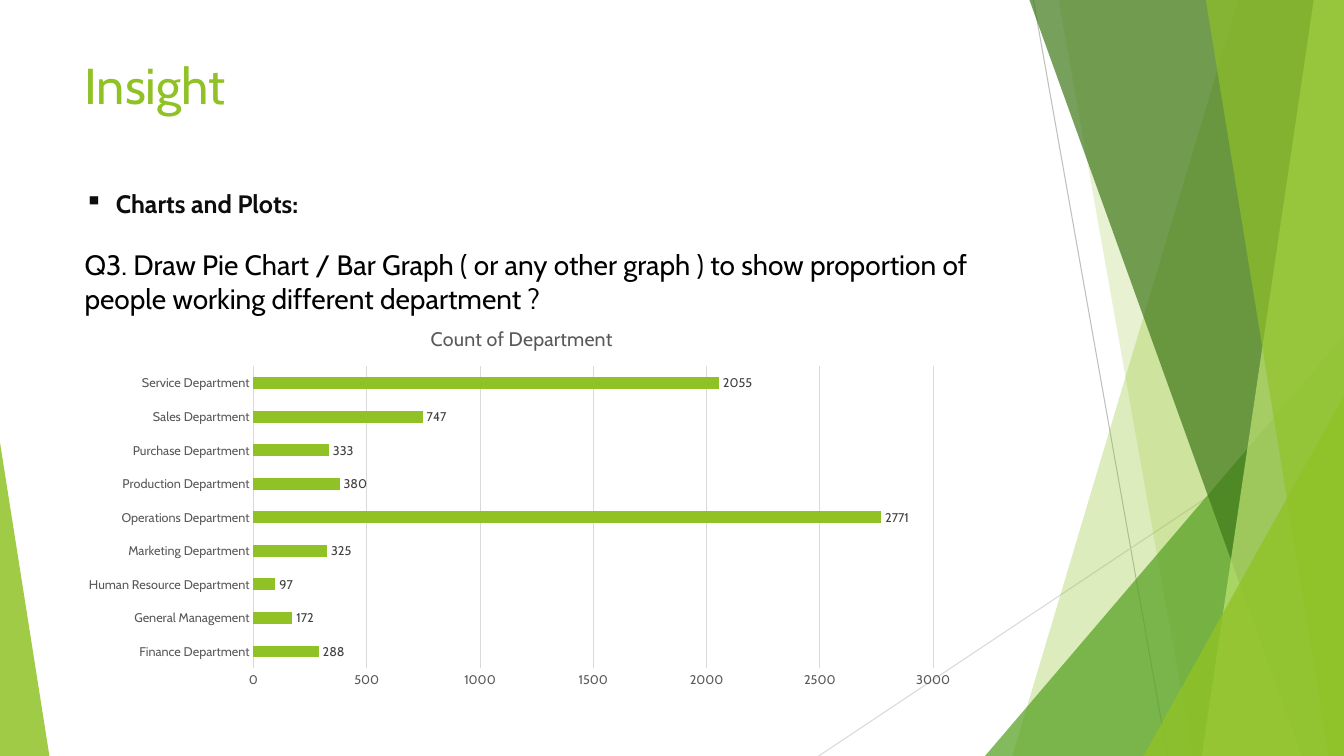
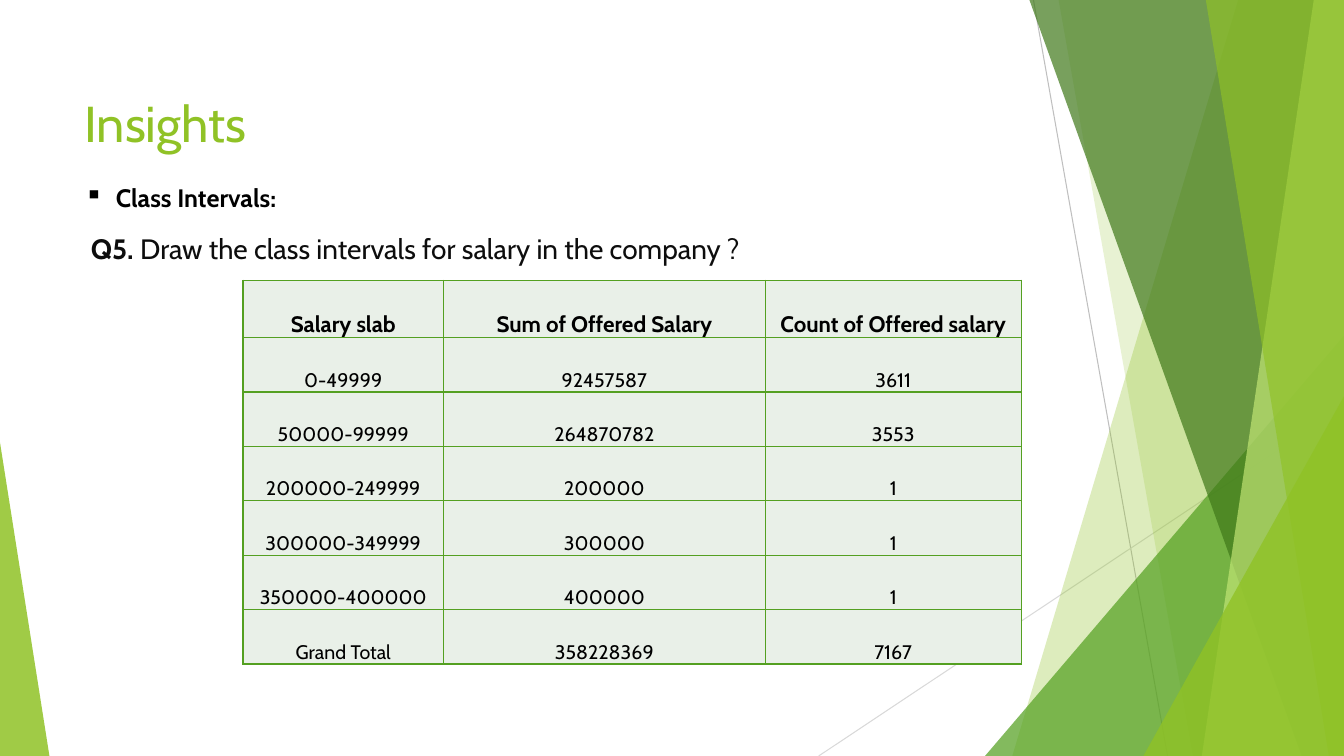
from lxml import etree
from pptx import Presentation
from pptx.chart.data import CategoryChartData
from pptx.dml.color import RGBColor
from pptx.enum.chart import XL_CHART_TYPE, XL_LABEL_POSITION, XL_TICK_MARK
from pptx.enum.shapes import MSO_CONNECTOR, MSO_SHAPE
from pptx.enum.text import MSO_ANCHOR, PP_ALIGN
from pptx.oxml import parse_xml
from pptx.oxml.ns import nsdecls, qn
from pptx.util import Inches, Pt

FONT = "Cabin"
LIME, GREEN, FOREST, PALE_LIME = "90C226", "54A021", "3F7819", "C0E474"
BLACK, INK, CELL_TINT = "000000", "0D0D0D", "E9F0E8"
AXIS_TEXT, LABEL_TEXT, GRID = "595959", "404040", "D9D9D9"
WIDTH, HEIGHT = 13.33, 7.5
LEFT, TEXT_WIDTH = 0.74, 9.4

# Decoration from back to front
HAIRLINES = [((10.25, 0), (11.58, HEIGHT), "BFBFBF"),
             ((WIDTH, 4.03), (8.12, HEIGHT), GRID)]
FACETS = [  # bands: top x, bottom x; triangles: left, top, width, apex; then colour, opacity
    ("band", (12.28, 10.04), LIME, 30),
    ("band", (10.5, 11.83), LIME, 20),
    ("triangle", (9.77, 3.33, 3.56, 1), GREEN, 72),
    ("band", (10.21, 12.91), FOREST, 70),
    ("band", (13.03, 11.92), PALE_LIME, 70),
    ("band", (11.96, 13.18), LIME, 65),
    ("triangle", (11.34, 3.93, 1.99, 1), LIME, 80),
    ("triangle", (0, 4.39, 0.49, 0), LIME, 85),
]

DEPARTMENTS = {
    "Finance Department": 288,
    "General Management": 172,
    "Human Resource Department": 97,
    "Marketing Department": 325,
    "Operations Department": 2771,
    "Production Department": 380,
    "Purchase Department": 333,
    "Sales Department": 747,
    "Service Department": 2055,
}
CHART_TITLE = "Count of Department"
PLOT_AREA = {"x": 0.2, "y": 0.15, "w": 0.76, "h": 0.78}

SALARY_COLUMNS = [1.99, 3.19, 2.54]
SALARY_ROWS = [
    ("Salary slab", "Sum of Offered Salary", "Count of Offered salary"),
    ("0-49999", "92457587", "3611"),
    ("50000-99999", "264870782", "3553"),
    ("200000-249999", "200000", "1"),
    ("300000-349999", "300000", "1"),
    ("350000-400000", "400000", "1"),
    ("Grand Total", "358228369", "7167"),
]


def rgb(color):
    return RGBColor.from_string(color)


def style_font(font, size, color, bold=False):
    values = {"name": FONT, "size": Pt(size), "bold": bold}
    for name, value in values.items():
        setattr(font, name, value)
    font.color.rgb = rgb(color)


def style_line(line, color, width=0.75):
    line.color.rgb = rgb(color)
    line.width = Pt(width)


def add_decoration(slide):
    shapes = slide.shapes.add_group_shape().shapes
    for start, end, color in HAIRLINES:
        hairline = shapes.add_connector(
            MSO_CONNECTOR.STRAIGHT, *[Inches(v) for v in start + end])
        style_line(hairline.line, color)
        etree.SubElement(hairline._element.spPr, qn("a:effectLst"))
    for kind, place, color, opacity in FACETS:
        if kind == "band":
            top_x, bottom_x = place
            outline = shapes.build_freeform(Inches(top_x), 0)
            corners = [(WIDTH, 0), (WIDTH, HEIGHT), (bottom_x, HEIGHT)]
            outline.add_line_segments([(Inches(x), Inches(y)) for x, y in corners])
            facet = outline.convert_to_shape()
        else:
            left, top, width, apex = place
            facet = shapes.add_shape(
                MSO_SHAPE.ISOSCELES_TRIANGLE, Inches(left), Inches(top),
                Inches(width), Inches(HEIGHT - top))
            facet.adjustments[0] = apex
        facet.shadow.inherit = False
        facet.line.fill.background()
        facet.fill.solid()
        facet.fill.fore_color.rgb = rgb(color)
        tint = facet._element.spPr.find(qn("a:solidFill"))[0]
        etree.SubElement(tint, qn("a:alpha"), val=str(opacity * 1000))


def add_text(slide, top, height, runs, size, color):
    """Add one paragraph made of (text, bold) runs."""
    box = slide.shapes.add_textbox(
        Inches(LEFT), Inches(top), Inches(TEXT_WIDTH), Inches(height))
    box.text_frame.word_wrap = True
    paragraph = box.text_frame.paragraphs[0]
    for text, bold in runs:
        run = paragraph.add_run()
        run.text = text
        style_font(run.font, size, color, bold)
    return paragraph


def add_heading(slide, top, text, color):
    properties = add_text(slide, top, 0.4, [(text, True)], 18, color)._p.get_or_add_pPr()
    indent = Inches(0.31)
    properties.set("marL", str(indent))
    properties.set("indent", str(-indent))
    etree.SubElement(properties, qn("a:buChar"), char="▪")


def start_slide(deck, title, title_top):
    slide = deck.slides.add_slide(deck.slide_layouts[6])
    add_decoration(slide)
    add_text(slide, title_top, 0.78, [(title, False)], 36, LIME)
    return slide


def add_department_chart(slide):
    data = CategoryChartData()
    data.categories = list(DEPARTMENTS)
    data.add_series("Series 1", list(DEPARTMENTS.values()))
    chart = slide.shapes.add_chart(
        XL_CHART_TYPE.BAR_CLUSTERED, Inches(LEFT), Inches(3.06),
        Inches(8.87), Inches(3.84), data).chart
    style_font(chart.font, 10, BLACK)
    chart.has_legend = False
    chart.has_title = True
    chart.chart_title.include_in_layout = False
    chart.chart_title.text_frame.text = CHART_TITLE
    title_run = chart.chart_title.text_frame.paragraphs[0].runs[0]
    style_font(title_run.font, 14, AXIS_TEXT)

    for axis in (chart.category_axis, chart.value_axis):
        axis.major_tick_mark = axis.minor_tick_mark = XL_TICK_MARK.NONE
        style_font(axis.tick_labels.font, 9, AXIS_TEXT)
    style_line(chart.category_axis.format.line, GRID)
    scale = chart.value_axis
    scale.format.line.fill.background()
    style_line(scale.major_gridlines.format.line, GRID)
    for name, value in {"minimum_scale": 0, "maximum_scale": 3000, "major_unit": 500}.items():
        setattr(scale, name, value)

    plot = chart.plots[0]
    plot.gap_width = 182
    plot.vary_by_categories = False
    bars = plot.series[0]
    bars.format.fill.solid()
    bars.format.fill.fore_color.rgb = rgb(LIME)
    labels = bars.data_labels
    labels.show_value = True
    labels.position = XL_LABEL_POSITION.OUTSIDE_END
    style_font(labels.font, 9, LABEL_TEXT)

    plot_area = chart._chartSpace.chart.plotArea
    for automatic in plot_area.findall(qn("c:layout")):
        plot_area.remove(automatic)
    layout = etree.Element(qn("c:layout"))
    manual = etree.SubElement(layout, qn("c:manualLayout"))
    etree.SubElement(manual, qn("c:layoutTarget"), val="inner")
    for side in "xy":
        etree.SubElement(manual, qn(f"c:{side}Mode"), val="edge")
    for name, value in PLOT_AREA.items():
        etree.SubElement(manual, qn(f"c:{name}"), val=str(value))
    plot_area.insert(0, layout)


def format_cell(cell, text, size, bold):
    margins = {"margin_left": 0.01, "margin_right": 0.01, "margin_top": 0.01, "margin_bottom": 0}
    for name, value in margins.items():
        setattr(cell, name, Inches(value))
    cell.vertical_anchor = MSO_ANCHOR.BOTTOM
    properties = cell._tc.get_or_add_tcPr()
    for side in "LRTB":
        properties.append(parse_xml(
            f'<a:ln{side} {nsdecls("a")} w="{Pt(1)}"><a:solidFill>'
            f'<a:srgbClr val="{GREEN}"/></a:solidFill></a:ln{side}>'))
    cell.fill.solid()
    cell.fill.fore_color.rgb = rgb(CELL_TINT)
    paragraph = cell.text_frame.paragraphs[0]
    paragraph.alignment = PP_ALIGN.CENTER
    run = paragraph.add_run()
    run.text = text
    style_font(run.font, size, BLACK, bold)


def add_salary_table(slide):
    heights = [0.57] + [0.54] * (len(SALARY_ROWS) - 1)
    table = slide.shapes.add_table(
        len(SALARY_ROWS), len(SALARY_COLUMNS), Inches(2.41), Inches(2.78),
        Inches(sum(SALARY_COLUMNS)), Inches(sum(heights))).table
    table.horz_banding = False
    for column, width in zip(table.columns, SALARY_COLUMNS):
        column.width = Inches(width)
    for index, (row, height, texts) in enumerate(zip(table.rows, heights, SALARY_ROWS)):
        row.height = Inches(height)
        is_header = index == 0
        for cell, text in zip(row.cells, texts):
            format_cell(cell, text, 16 if is_header else 14, is_header)


def main():
    deck = Presentation()
    deck.slide_width, deck.slide_height = Inches(WIDTH), Inches(HEIGHT)

    departments = start_slide(deck, "Insight", 0.49)
    add_text(departments, 2.41, 0.77, [(
        "Q3. Draw Pie Chart / Bar Graph ( or any other graph ) to show proportion of "
        "people working different department ?", False)], 20, BLACK)
    add_department_chart(departments)
    add_heading(departments, 1.82, "Charts and Plots:", INK)

    salaries = start_slide(deck, "Insights", 0.86)
    add_text(salaries, 2.25, 0.44, [
        (" Q5. ", True),
        ("Draw the class intervals for salary in the company ?", False)], 20, INK)
    add_salary_table(salaries)
    add_heading(salaries, 1.76, "Class Intervals:", BLACK)

    deck.save("out.pptx")


if __name__ == "__main__":
    main()
